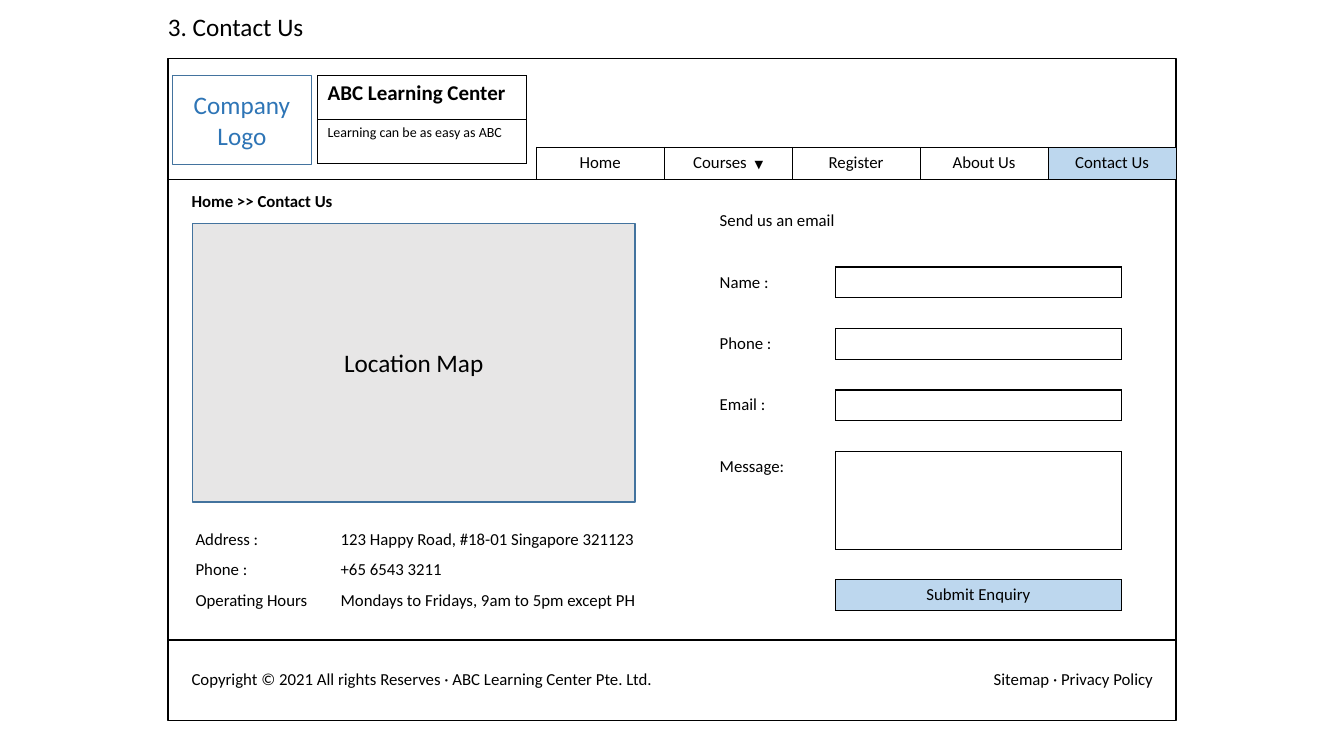
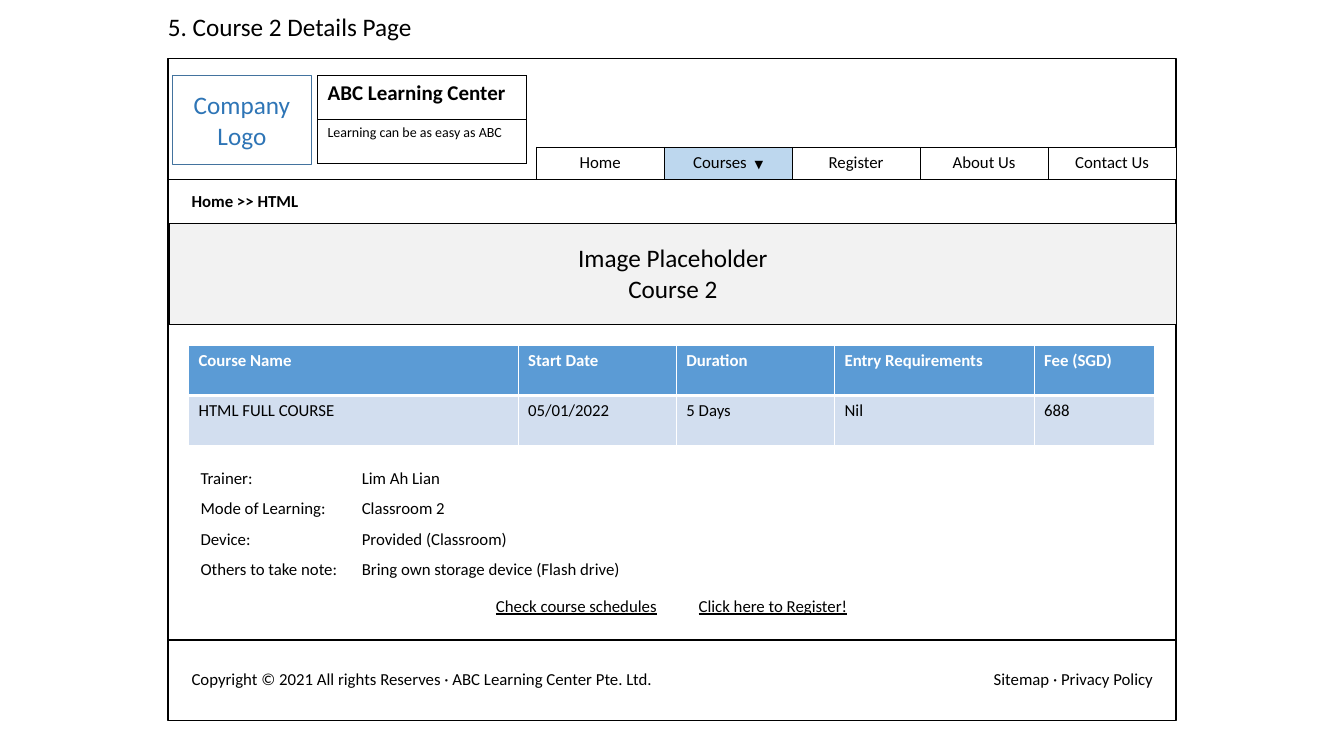
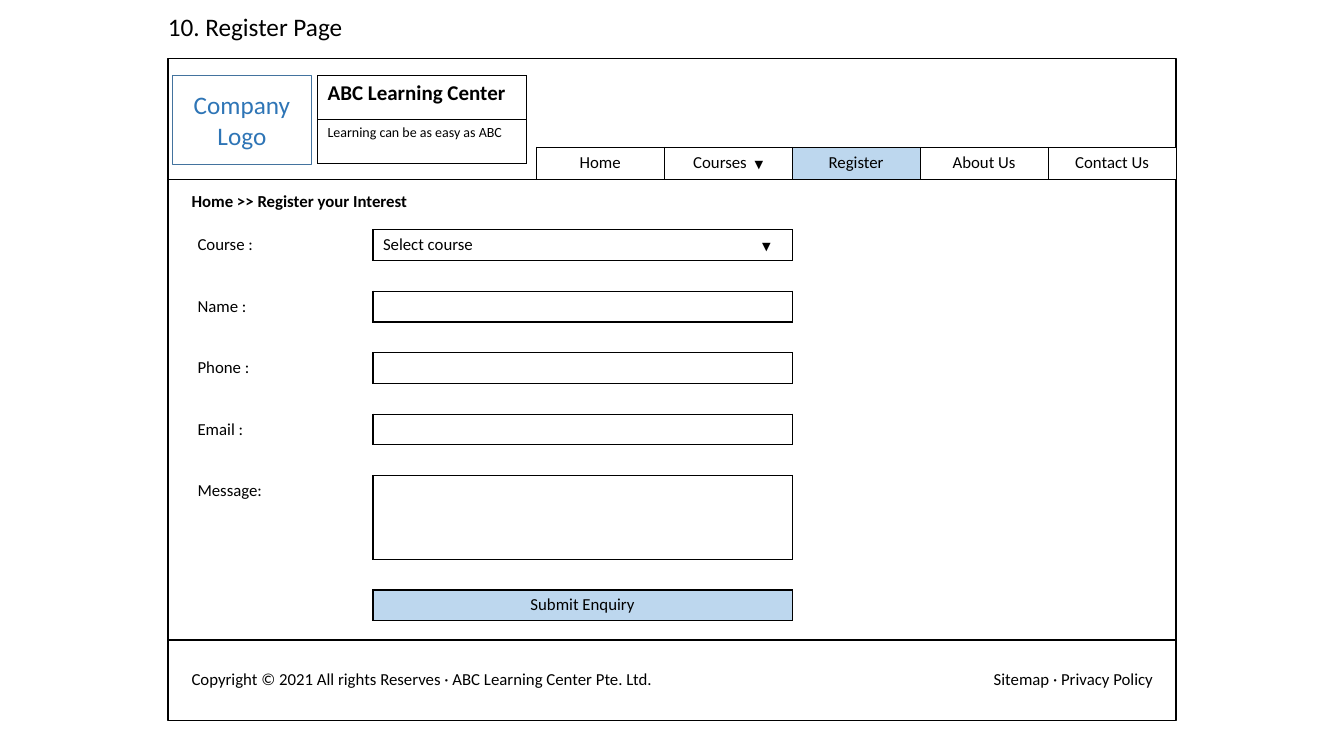
"""Three wireframe pages of a learning centre's website."""
from dataclasses import dataclass, field
from itertools import accumulate
from typing import Callable, NamedTuple

from lxml.etree import SubElement
from pptx import Presentation
from pptx.dml.color import RGBColor
from pptx.enum.shapes import MSO_SHAPE
from pptx.enum.text import MSO_ANCHOR, PP_ALIGN
from pptx.oxml.ns import qn
from pptx.util import Inches, Pt

WIDTH, HEIGHT = Inches(13.33), Inches(7.5)
COL, ROW = WIDTH / 40, HEIGHT / 75
LINE = 3.05
PLAIN_TABLE = "{2D5ABB26-0587-4C30-8999-92F81FD0307C}"
COLORS = {
    "black": "000000", "white": "FFFFFF", "steel": "43739E", "blue": "2E75B6",
    "active": "BDD7EE", "map": "E7E6E6", "banner": "F2F2F2",
    "head": "5B9BD5", "band": "D2DEEF",
}
BASE = {"name": "Calibri", "size": Pt(12), "bold": False, "underline": False}
BIG = {"size": Pt(18)}
BOLD = {"bold": True}
LINK = {"underline": True}
LEFT, CENTER, RIGHT = PP_ALIGN.LEFT, PP_ALIGN.CENTER, PP_ALIGN.RIGHT


class Box(NamedTuple):
    """A place in grid columns and rows."""
    x: float
    y: float
    w: float
    h: float

    def emu(self) -> tuple[int, ...]:
        return tuple(round(v * u) for v, u in zip(self, (COL, ROW, COL, ROW)))


class Run(NamedTuple):
    """A stretch of text with its own format."""
    text: str
    fmt: dict = {}
    spacing: int = 0


@dataclass(frozen=True)
class Text:
    """Lines of text, or the runs of one line, with shared format."""
    body: str | tuple[Run, ...] = ""
    fmt: dict = field(default_factory=dict)
    color: str = "black"
    align: PP_ALIGN = LEFT
    anchor: MSO_ANCHOR = MSO_ANCHOR.TOP
    tab: float = 0


@dataclass(frozen=True)
class Cell:
    """A table cell; edges lists its drawn sides out of LRTB."""
    text: Text = Text()
    fill: str = ""
    edges: str = ""
    line: str = "black"
    weight: float = 1


@dataclass(frozen=True)
class Page:
    """One wireframe page."""
    title: str
    crumb: str
    tab: str
    draw: Callable


def rgb(name: str) -> RGBColor:
    """Look a colour up."""
    return RGBColor.from_string(COLORS[name])


def write(tf, text: Text) -> None:
    """Fill a text frame."""
    if isinstance(text.body, str):
        lines = [(Run(t),) if t else () for t in text.body.split("\n")]
    else:
        lines = [text.body]
    for i, runs in enumerate(lines):
        p = tf.add_paragraph() if i else tf.paragraphs[0]
        p.alignment = text.align
        if text.tab:
            tabs = SubElement(p._p.get_or_add_pPr(), qn("a:tabLst"))
            SubElement(tabs, qn("a:tab"), pos=str(Inches(text.tab)), algn="l")
        for run in runs:
            r = p.add_run()
            r.text = run.text
            for key, value in (BASE | text.fmt | run.fmt).items():
                setattr(r.font, key, value)
            r.font.color.rgb = rgb(text.color)
            if run.spacing:
                r._r.get_or_add_rPr().set("spc", str(run.spacing))
        if not runs:
            SubElement(p._p, qn("a:endParaRPr"), sz="1200")


def rect(s, box: Box, fill: str = "white", line: str = "black", text: Text = Text()) -> None:
    """Draw an outlined rectangle."""
    sp = s.shapes.add_shape(MSO_SHAPE.RECTANGLE, *box.emu())
    sp.shadow.inherit = False
    sp.fill.solid()
    sp.fill.fore_color.rgb = rgb(fill)
    sp.line.color.rgb = rgb(line)
    sp.line.width = Pt(1)
    sp.text_frame.word_wrap = True
    sp.text_frame.vertical_anchor = MSO_ANCHOR.MIDDLE
    write(sp.text_frame, text)


def label(s, box: Box, text: Text):
    """Add a wrapped text box and return its frame."""
    tf = s.shapes.add_textbox(*box.emu()).text_frame
    tf.word_wrap = True
    tf.vertical_anchor = text.anchor
    write(tf, text)
    return tf


def style_cell(c, cell: Cell) -> None:
    """Write a cell, then its borders and fill."""
    write(c.text_frame, cell.text)
    c.vertical_anchor = cell.text.anchor
    tc_pr = c._tc.get_or_add_tcPr()
    for side in "LRTB":
        if side in cell.edges:
            ln = SubElement(tc_pr, qn(f"a:ln{side}"), w=str(Pt(cell.weight)))
            solid = SubElement(ln, qn("a:solidFill"))
            SubElement(solid, qn("a:srgbClr"), val=COLORS[cell.line])
    if cell.fill:
        c.fill.solid()
        c.fill.fore_color.rgb = rgb(cell.fill)
    else:
        c.fill.background()


def table(s, x: float, y: float, cols: list[float], rows: list[float], cells: list[list[Cell]]):
    """Draw a table whose columns and rows are in grid units."""
    box = Box(x, y, sum(cols), sum(rows))
    tbl = s.shapes.add_table(len(rows), len(cols), *box.emu()).table
    tbl.first_row = tbl.horz_banding = False
    tbl._tbl.tblPr.find(qn("a:tableStyleId")).text = PLAIN_TABLE
    for column, w in zip(tbl.columns, cols):
        column.width = round(w * COL)
    for i, (h, line) in enumerate(zip(rows, cells)):
        tbl.rows[i].height = round(h * ROW)
        for j, cell in enumerate(line):
            style_cell(tbl.cell(i, j), cell)
    return tbl


def pairs(s, x: float, y: float, cols: list[float], pitch: float, items: dict[str, str]) -> None:
    """List names and values in two columns."""
    cells = [[Cell(Text(t)) for t in item] for item in items.items()]
    table(s, x, y, cols, [pitch] * len(items), cells)


def form(s, x: float, y: float, cols: list[float], message: float,
         fields: dict[str, Text], heading: str = "") -> None:
    """Draw labelled entry boxes above a submit button."""
    cells, rows = [], []
    if heading:
        cells += [[Cell(Text(heading)), Cell()], [Cell(), Cell(edges="B")]]
        rows += [LINE, LINE]
    for name, content in fields.items():
        cells += [[Cell(Text(name), edges="R"), Cell(content, edges="LRTB")],
                  [Cell(), Cell(edges="TB")]]
        rows += [message if name == "Message:" else LINE, LINE]
    button = Text("Submit Enquiry", align=CENTER)
    cells.append([Cell(edges="R"), Cell(button, "active", "LRTB")])
    tbl = table(s, x, y, cols, rows + [LINE], cells)
    if heading:
        tbl.cell(0, 0).merge(tbl.cell(0, 1))


def frame(s, page: Page) -> None:
    """Draw what all pages share."""
    for y, h in ((9.6, 60), (63.5, 8), (5.8, 12)):
        rect(s, Box(5, y, 30, h))
    tf = label(s, Box(4.7, 1.2, 21.66, 3.2), Text(page.title, BIG, anchor=MSO_ANCHOR.MIDDLE))
    tf.paragraphs[0].line_spacing = 0.9
    rect(s, Box(5.13, 7.5, 4.14, 8.8), line="steel",
         text=Text("Company Logo", BIG, "blue", CENTER))
    arrow = (Run("Courses"), Run(" ", spacing=270), Run("▼", {"size": Pt(8)}))
    tabs = {"Home": "Home", "Courses": arrow, "Register": "Register",
            "About Us": "About Us", "Contact Us": "Contact Us"}
    nav = [Cell(Text(body, align=CENTER), "active" if name == page.tab else "white",
                "LRTB", weight=0.25) for name, body in tabs.items()]
    table(s, 15.96, 14.6, [19.05 / len(nav)] * len(nav), [3.2], [nav])
    brand = {"ABC Learning Center": {"size": Pt(15), "bold": True},
             "Learning can be as easy as ABC": {"size": Pt(10)}}
    table(s, 9.45, 7.5, [6.21], [4.37] * 2,
          [[Cell(Text(t, fmt), "white", "LRTB", weight=0.25)] for t, fmt in brand.items()])
    halves = [14.61] * 2
    table(s, 5.4, 65.9, halves, [3.6], [[
        Cell(Text("Copyright © 2021 All rights Reserves · ABC Learning Center Pte. Ltd.")),
        Cell(Text("Sitemap · Privacy Policy", align=RIGHT))]])
    table(s, 5.4, 18.5, halves, [3.6], [[Cell(Text(page.crumb, BOLD)), Cell()]])


def contact(s) -> None:
    """Draw the map, the address and the e-mail form."""
    rect(s, Box(5.73, 22.2, 13.17, 27.6), "map", "steel",
         Text("Location Map", BIG, align=CENTER))
    pairs(s, 5.52, 52, [4.32, 9.72], LINE, {
        "Address :": "123 Happy Road, #18-01 Singapore 321123",
        "Phone :": "+65 6543 3211",
        "Operating Hours": "Mondays to Fridays, 9am to 5pm except PH"})
    names = ("Name :", "Phone :", "Email :", "Message:")
    form(s, 21.12, 20.4, [3.75, 8.5], 9.7, {n: Text() for n in names}, "Send us an email")


def course(s) -> None:
    """Draw the banner, the course table and its details."""
    heads = ("Course Name", "Start Date", "Duration", "Entry Requirements", "Fee (SGD)")
    values = ("HTML FULL COURSE", "05/01/2022", "5 Days", "Nil", "688")
    cells = [[Cell(Text(t, BOLD, "white"), "head", "LRTB", "white") for t in heads],
             [Cell(Text(t), "band", "LRTB", "white") for t in values]]
    tbl = table(s, 5.61, 34.3, [9.81, 4.71, 4.71, 5.94, 3.6], [4.93] * 2, cells)
    for j in range(len(heads)):
        for i, side in enumerate("BT"):
            tbl.cell(i, j)._tc.tcPr.find(qn(f"a:ln{side}")).set("w", str(Pt(3)))
    links = (Run("Check course schedules", LINK), Run("\t"), Run("Click here to Register!", LINK))
    tf = label(s, Box(13.89, 58.6, 12.2, 3), Text(links, tab=2.01))
    tf.margin_left = Inches(0.29)
    pairs(s, 5.67, 46, [4.8, 8.4], 3, {
        "Trainer:": "Lim Ah Lian",
        "Mode of Learning:": "Classroom 2",
        "Device:": "Provided (Classroom)",
        "Others to take note:": "Bring own storage device (Flash drive)"})
    banner = Text("Image Placeholder\nCourse 2", BIG, align=CENTER, anchor=MSO_ANCHOR.MIDDLE)
    table(s, 5.04, 22.2, [29.97], [10], [[Cell(banner, "banner", "LRTB")]])


def register(s) -> None:
    """Draw the registration form."""
    choice = Text((Run("Select course\t"), Run("▼", {"size": Pt(8)})), tab=3.76)
    names = ("Name :", "Phone :", "Email :", "Message:")
    form(s, 5.58, 22.8, [5.52, 12.48], 8.3, {"Course :": choice} | {n: Text() for n in names})


PAGES = (
    Page("3. Contact Us", "Home >> Contact Us", "Contact Us", contact),
    Page("5. Course 2 Details Page", "Home >> HTML", "Courses", course),
    Page("10. Register Page", "Home >> Register your Interest", "Register", register),
)


def main() -> None:
    """Build and save the pages."""
    prs = Presentation()
    prs.slide_width, prs.slide_height = WIDTH, HEIGHT
    for page in PAGES:
        s = prs.slides.add_slide(prs.slide_layouts[6])
        frame(s, page)
        page.draw(s)
    prs.save("out.pptx")


if __name__ == "__main__":
    main()
